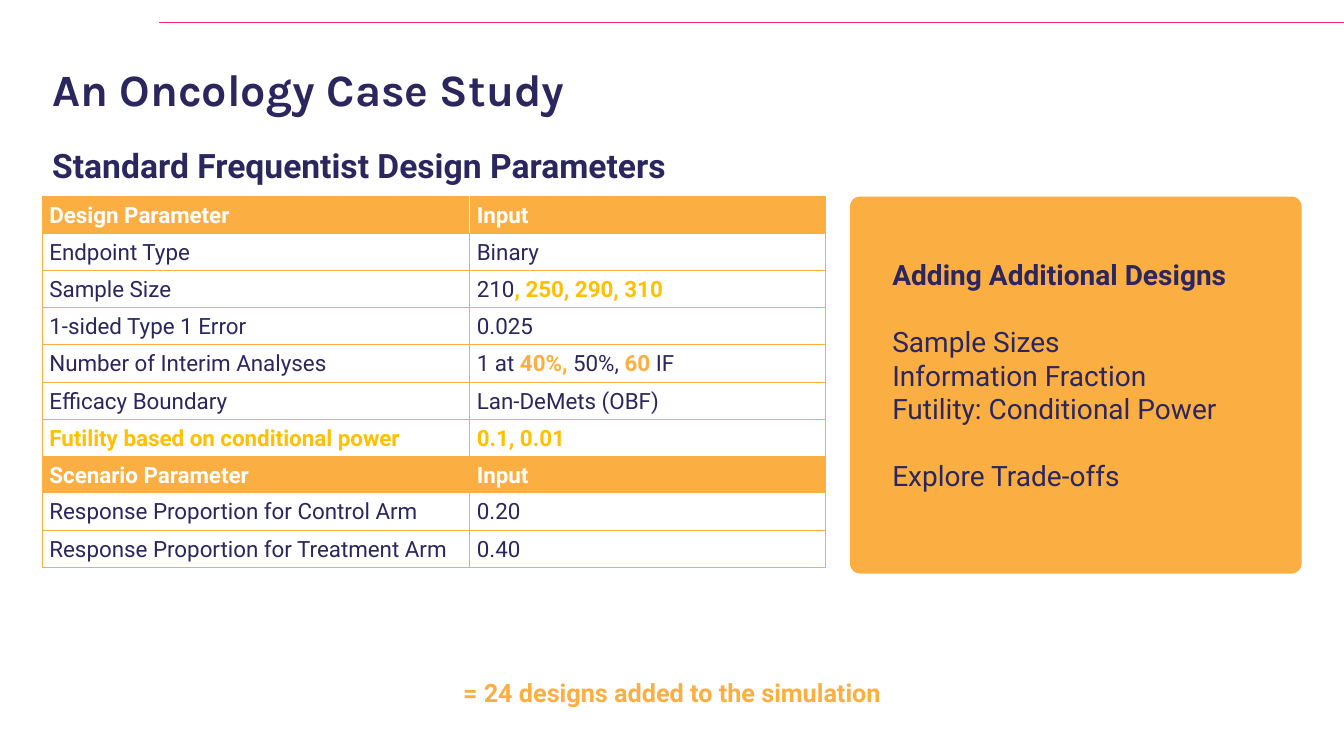
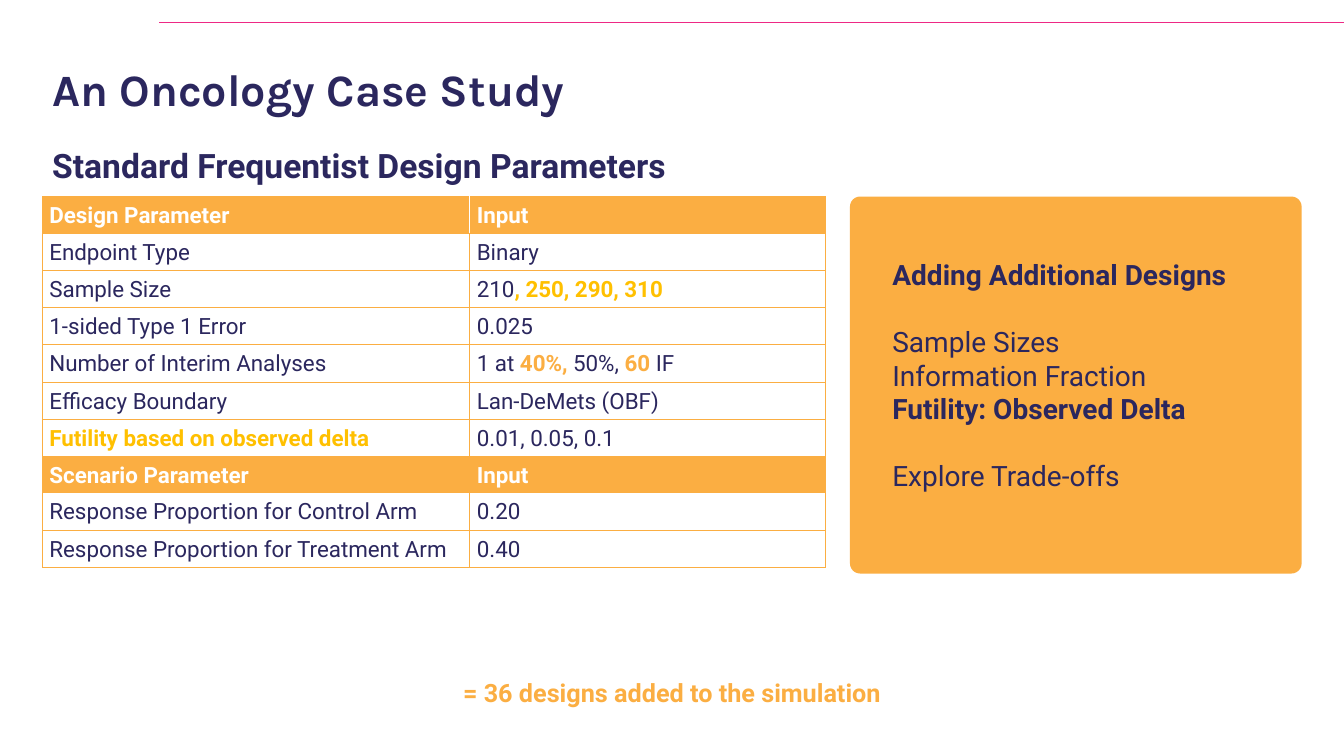
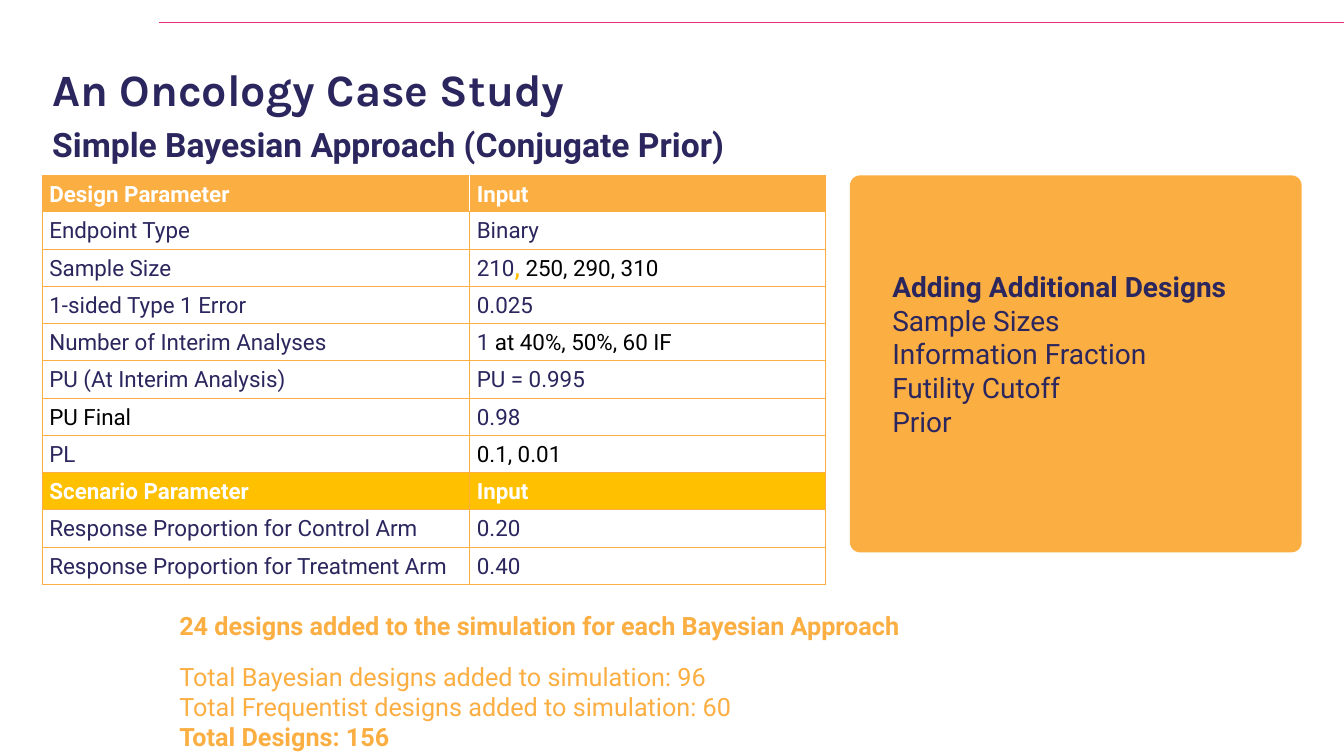
from lxml import etree
from pptx import Presentation
from pptx.dml.color import RGBColor
from pptx.enum.shapes import MSO_CONNECTOR, MSO_SHAPE
from pptx.enum.text import MSO_ANCHOR, PP_ALIGN
from pptx.oxml.ns import qn
from pptx.util import Inches, Pt

STRAIGHT = MSO_CONNECTOR.STRAIGHT
ROUNDED = MSO_SHAPE.ROUNDED_RECTANGLE
TOP, MIDDLE = MSO_ANCHOR.TOP, MSO_ANCHOR.MIDDLE
LEFT, CENTER = PP_ALIGN.LEFT, PP_ALIGN.CENTER

NAVY, ORANGE, AMBER = "2B275E", "FBAE42", "FFC000"
PINK, WHITE, BLACK = "ED2985", "FFFFFF", "000000"
TITLE_FONT, BODY_FONT = "Karla", "Roboto"

MARGIN = 0.42
COLUMN_WIDTHS = (4.24, 3.53)
HEADER_HEIGHT, ROW_HEIGHT = 0.36, 0.37

DESIGN_HEADER = ("Design Parameter", "Input")
SCENARIO_HEADER = ("Scenario Parameter", "Input")
SCENARIO_ROWS = [
    ("Response Proportion for Control Arm", "0.20"),
    ("Response Proportion for Treatment Arm", "0.40"),
]
PANEL_HEADING = ("Adding Additional Designs", True, 0)


def rgb(value):
    return RGBColor.from_string(value)


def add_runs(paragraph, content, size, color=NAVY, bold=False, font=BODY_FONT):
    """Add a string in the default style, or a list of (text, color, bold) runs."""
    runs = [(content, color, bold)] if isinstance(content, str) else content
    for text, run_color, run_bold in runs:
        run = paragraph.add_run()
        run.text = text
        run.font.name = font
        run.font.size = Pt(size)
        run.font.bold = run_bold
        run.font.color.rgb = rgb(run_color)


def fill_lines(frame, lines, size, color, align=LEFT):
    """Write (text, bold, points before) lines, one paragraph each."""
    frame.word_wrap = True
    for index, (text, bold, before) in enumerate(lines):
        paragraph = frame.add_paragraph() if index else frame.paragraphs[0]
        paragraph.alignment = align
        paragraph.space_before = Pt(before)
        add_runs(paragraph, text, size, color, bold)


def add_text(slide, box, lines, size, color, align=LEFT):
    shape = slide.shapes.add_textbox(*map(Inches, box))
    fill_lines(shape.text_frame, lines, size, color, align)


def add_top_rule(slide):
    rule = slide.shapes.add_connector(
        STRAIGHT, Inches(1.58), Inches(0.22), Inches(13.33), Inches(0.22))
    rule.line.color.rgb = rgb(PINK)
    rule.line.width = Pt(0.5)
    etree.SubElement(rule._element.spPr, qn("a:effectLst"))


def set_title(slide, text):
    title = slide.shapes.title
    title.left, title.top = Inches(MARGIN), Inches(0.62)
    title.width, title.height = Inches(12.5), Inches(0.48)
    frame = title.text_frame
    frame.word_wrap = True
    frame.vertical_anchor = TOP
    paragraph = frame.paragraphs[0]
    paragraph.alignment = LEFT
    paragraph.line_spacing = 0.9
    add_runs(paragraph, text, 32, bold=True, font=TITLE_FONT)


def add_panel(slide, top, lines):
    panel = slide.shapes.add_shape(
        ROUNDED, Inches(8.43), Inches(top), Inches(4.48), Inches(3.74))
    panel.adjustments[0] = 0.027
    panel.shadow.inherit = False
    panel.fill.solid()
    panel.fill.fore_color.rgb = rgb(ORANGE)
    panel.line.fill.background()
    frame = panel.text_frame
    frame.margin_left = frame.margin_top = frame.margin_right = Inches(0.39)
    frame.margin_bottom = Inches(0.59)
    frame.vertical_anchor = MIDDLE
    fill_lines(frame, [PANEL_HEADING] + lines, 20, NAVY)


def set_borders(cell, borders):
    """Set (color, points) for the left, right, top and bottom edges."""
    properties = cell._tc.get_or_add_tcPr()
    for index, (side, (color, width)) in enumerate(zip("LRTB", borders)):
        edge = etree.Element(qn(f"a:ln{side}"), w=str(Pt(width)))
        fill = etree.SubElement(edge, qn("a:solidFill"))
        etree.SubElement(fill, qn("a:srgbClr"), val=color)
        properties.insert(index, edge)


def format_cell(cell, content, fill, color, bold, borders):
    cell.fill.solid()
    cell.fill.fore_color.rgb = rgb(fill)
    cell.vertical_anchor = MIDDLE
    cell.margin_left = cell.margin_right = Inches(0.07)
    cell.margin_top = cell.margin_bottom = 0
    paragraph = cell.text_frame.paragraphs[0]
    paragraph.line_spacing = 1.07
    add_runs(paragraph, content, 16, color, bold)
    set_borders(cell, borders)


def add_parameter_table(slide, top, design_rows, scenario_fill, scenario_height):
    rows = [DESIGN_HEADER, *design_rows, SCENARIO_HEADER, *SCENARIO_ROWS]
    header_fills = {0: ORANGE, len(design_rows) + 1: scenario_fill}
    heights = [ROW_HEIGHT] * len(rows)
    heights[0] = HEADER_HEIGHT
    heights[len(design_rows) + 1] = scenario_height
    table = slide.shapes.add_table(
        len(rows), 2, Inches(MARGIN), Inches(top),
        Inches(sum(COLUMN_WIDTHS)), Inches(sum(heights))).table
    table.first_row = table.horz_banding = False
    for column, width in zip(table.columns, COLUMN_WIDTHS):
        column.width = Inches(width)
    outer = (ORANGE, 0.5)
    for r, row in enumerate(rows):
        table.rows[r].height = Inches(heights[r])
        is_header = r in header_fills
        inner = (WHITE if r == 0 else ORANGE, 0.75)
        for c, content in enumerate(row):
            sides = (inner, outer) if c else (outer, inner)
            format_cell(table.cell(r, c), content, header_fills.get(r, WHITE),
                        WHITE if is_header else NAVY, is_header,
                        (*sides, outer, outer))


def add_case_slide(prs, subtitle, top, panel_lines, design_rows,
                   scenario_fill=ORANGE, scenario_height=HEADER_HEIGHT):
    """Build a slide whose table and panel both start at top."""
    slide = prs.slides.add_slide(prs.slide_layouts[5])
    add_top_rule(slide)
    set_title(slide, "An Oncology Case Study")
    add_panel(slide, top, panel_lines)
    add_text(slide, (MARGIN, top - 0.56, 7.77, 0.46), [(subtitle, True, 0)], 24, NAVY)
    add_parameter_table(slide, top, design_rows, scenario_fill, scenario_height)
    return slide


def add_frequentist_slide(prs, futility_row, futility_line, design_count):
    design_rows = [
        ("Endpoint Type", "Binary"),
        ("Sample Size", [("210", NAVY, False), (", 250, 290, 310", AMBER, True)]),
        ("1-sided Type 1 Error", "0.025"),
        ("Number of Interim Analyses", [
            ("1 at ", NAVY, False), ("40%, ", ORANGE, True), ("50%,", NAVY, False),
            (" 60 ", ORANGE, True), ("IF", NAVY, False)]),
        ("Efficacy Boundary", "Lan-DeMets (OBF)"),
        futility_row,
    ]
    panel_lines = [
        ("Sample Sizes", False, 24),
        ("Information Fraction", False, 0),
        futility_line,
        ("Explore Trade-offs", False, 24),
    ]
    slide = add_case_slide(prs, "Standard Frequentist Design Parameters", 1.95,
                           panel_lines, design_rows)
    add_text(slide, (3.71, 6.67, 5.91, 0.4),
             [(f"= {design_count} designs added to the simulation", True, 0)],
             18, ORANGE, CENTER)


def add_bayesian_slide(prs):
    design_rows = [
        ("Endpoint Type", "Binary"),
        ("Sample Size", [("210", NAVY, False), (", ", AMBER, True),
                         ("250, 290, 310", BLACK, False)]),
        ("1-sided Type 1 Error", "0.025"),
        ("Number of Interim Analyses", [("1 ", NAVY, False),
                                        ("at 40%, 50%, 60 IF", BLACK, False)]),
        ("PU (At Interim Analysis)", "PU = 0.995"),
        ([("PU Final", BLACK, False)], "0.98"),
        ("PL", [("0.1, 0.01", BLACK, False)]),
    ]
    panel_lines = [(text, False, 0) for text in (
        "Sample Sizes", "Information Fraction", "Futility Cutoff", "Prior")]
    slide = add_case_slide(prs, "Simple Bayesian Approach (Conjugate Prior)", 1.74,
                           panel_lines, design_rows, AMBER, ROW_HEIGHT)
    add_text(slide, (1.68, 6.01, 8.02, 1.51), [
        ("24 designs added to the simulation for each Bayesian Approach", True, 0),
        ("Total Bayesian designs added to simulation: 96", False, 14.3),
        ("Total Frequentist designs added to simulation: 60", False, 0),
        ("Total Designs: 156", True, 0),
    ], 18, ORANGE)


def main():
    prs = Presentation()
    prs.slide_width, prs.slide_height = Inches(13.33), Inches(7.5)
    add_frequentist_slide(
        prs,
        ([("Futility based on conditional power", AMBER, True)],
         [("0.1, 0.01", AMBER, True)]),
        ("Futility: Conditional Power", False, 0), 24)
    add_frequentist_slide(
        prs,
        ([("Futility based on observed delta", AMBER, True)], "0.01, 0.05, 0.1"),
        ("Futility: Observed Delta", True, 0), 36)
    add_bayesian_slide(prs)
    prs.save("out.pptx")


if __name__ == "__main__":
    main()
